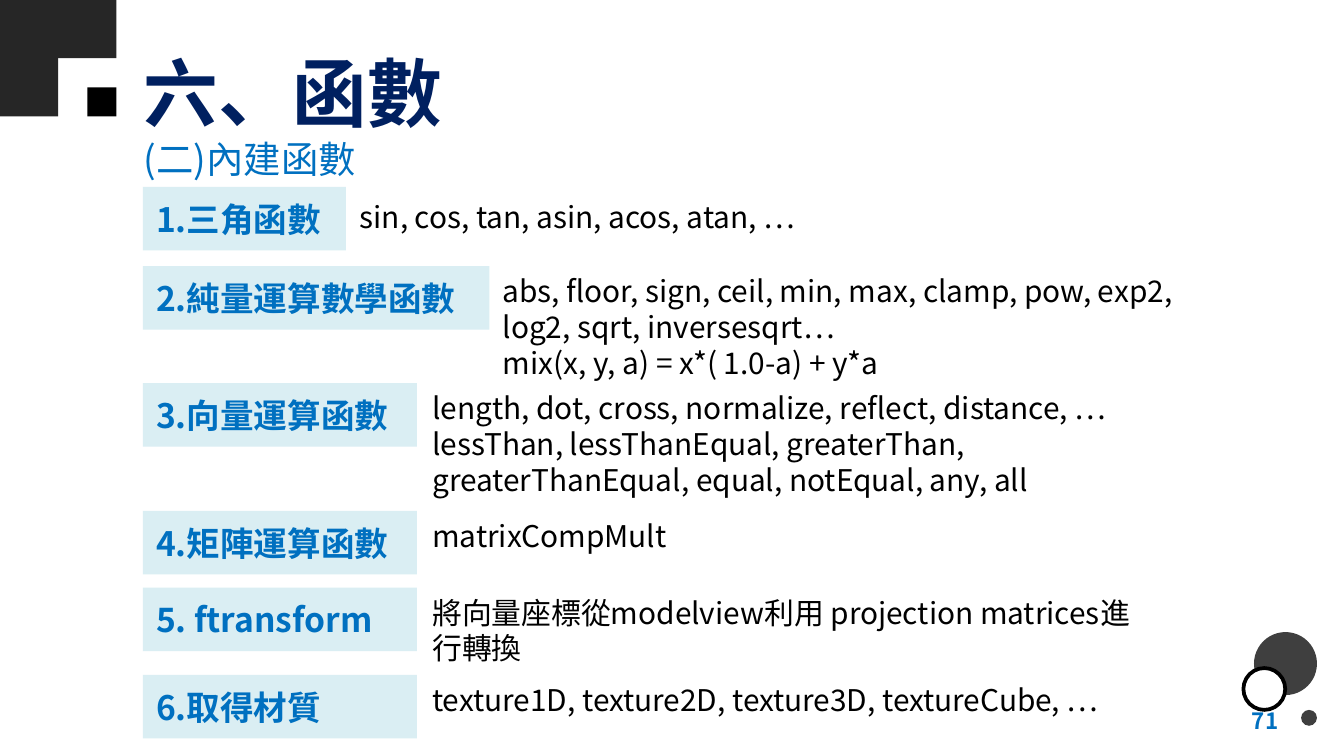
"""Build the slide on built-in shader functions."""
from dataclasses import dataclass

from lxml import etree
from pptx import Presentation
from pptx.dml.color import RGBColor
from pptx.enum.shapes import MSO_SHAPE
from pptx.enum.text import MSO_ANCHOR, PP_ALIGN
from pptx.oxml.ns import qn
from pptx.util import Cm, Pt

RECTANGLE, OVAL = MSO_SHAPE.RECTANGLE, MSO_SHAPE.OVAL
TOP, MIDDLE = MSO_ANCHOR.TOP, MSO_ANCHOR.MIDDLE
LEFT, RIGHT = PP_ALIGN.LEFT, PP_ALIGN.RIGHT

FONT = "Noto Sans CJK TC"
NAVY = RGBColor(0x00, 0x20, 0x60)
BLUE = RGBColor(0x00, 0x70, 0xC0)
PALE_BLUE = RGBColor(0xDA, 0xEE, 0xF3)
CHARCOAL = RGBColor(0x26, 0x26, 0x26)
GREY = RGBColor(0x3F, 0x3F, 0x3F)
BLACK = RGBColor(0x00, 0x00, 0x00)
WHITE = RGBColor(0xFF, 0xFF, 0xFF)

LABEL_LEFT, LABEL_HEIGHT = 2.7, 1.2
TILE = 1.1


@dataclass
class Category:
    label: str
    functions: list[str]
    top: float
    label_width: float = 5.18
    text_left: float = 7.92
    text_top: float | None = None


@dataclass
class Ornament:
    kind: int
    left: float
    top: float
    size: float
    fill: RGBColor
    outlined: bool = False


CATEGORIES = [
    Category("1.三角函數", ["sin, cos, tan, asin, acos, atan, …"], 3.53, 3.84, 6.55, 3.63),
    Category("2.純量運算數學函數",
             ["abs, floor, sign, ceil, min, max, clamp, pow, exp2, log2, sqrt, inversesqrt…",
              "mix(x, y, a) = x*( 1.0-a) + y*a"], 5.03, 6.55, 9.25),
    Category("3.向量運算函數",
             ["length, dot, cross, normalize, reflect, distance, …",
              "lessThan, lessThanEqual, greaterThan, greaterThanEqual, equal, notEqual, any, all"],
             7.24),
    Category("4.矩陣運算函數", ["matrixCompMult"], 9.65),
    Category("5. ftransform", ["將向量座標從modelview利用 projection matrices進行轉換"], 11.1),
    Category("6.取得材質", ["texture1D, texture2D, texture3D, textureCube, …"], 12.75),
]

ORNAMENTS = [
    Ornament(RECTANGLE, 0, 0, TILE, CHARCOAL),
    Ornament(RECTANGLE, TILE, 0, TILE, CHARCOAL),
    Ornament(RECTANGLE, 0, TILE, TILE, CHARCOAL),
    Ornament(RECTANGLE, 1.5 * TILE, 1.5 * TILE, TILE / 2, BLACK),
    Ornament(OVAL, 23.7, 11.94, 1.19, GREY),
    Ornament(OVAL, 24.59, 13.41, 0.3, GREY),
    Ornament(OVAL, 23.5, 12.62, 0.79, WHITE, outlined=True),
]


def write_text(shape, lines: list[str], size: float, color: RGBColor, bold: bool = False,
               anchor=TOP, alignment=LEFT) -> None:
    """Fill a shape with uniformly formatted paragraphs."""
    frame = shape.text_frame
    frame.word_wrap = True
    frame.vertical_anchor = anchor
    frame.text = "\n".join(lines)
    for paragraph in frame.paragraphs:
        paragraph.alignment = alignment
        font = paragraph.font
        font.name, font.size, font.bold = FONT, Pt(size), bold
        font.color.rgb = color
        properties = paragraph._p.pPr.find(qn("a:defRPr"))
        etree.SubElement(properties, qn("a:ea")).set("typeface", FONT)


def add_block(slide, kind: int, left: float, top: float, width: float, height: float,
              fill: RGBColor):
    """Add a flat filled shape without outline."""
    shape = slide.shapes.add_shape(kind, Cm(left), Cm(top), Cm(width), Cm(height))
    shape.shadow.inherit = False
    shape.fill.solid()
    shape.fill.fore_color.rgb = fill
    shape.line.fill.background()
    return shape


def add_text_box(slide, left: float, top: float, width: float, height: float):
    """Add an empty text box."""
    return slide.shapes.add_textbox(Cm(left), Cm(top), Cm(width), Cm(height))


def draw_ornament(slide, ornament: Ornament) -> None:
    """Draw one decorative square or circle."""
    shape = add_block(slide, ornament.kind, ornament.left, ornament.top,
                      ornament.size, ornament.size, ornament.fill)
    if ornament.outlined:
        shape.line.color.rgb = BLACK
        shape.line.width = Pt(2)


def draw_category(slide, category: Category) -> None:
    """Draw a category label with its functions beside it."""
    label = add_block(slide, RECTANGLE, LABEL_LEFT, category.top, category.label_width,
                      LABEL_HEIGHT, PALE_BLUE)
    write_text(label, [category.label], 18, BLUE, bold=True, anchor=MIDDLE)
    text_top = category.text_top or category.top
    text_width = 13.72
    box = add_text_box(slide, category.text_left, text_top, text_width, 0.94)
    write_text(box, category.functions, 16, BLACK)


def main() -> None:
    """Create and save the presentation."""
    presentation = Presentation()
    presentation.slide_width, presentation.slide_height = Cm(25.4), Cm(14.28)
    slide = presentation.slides.add_slide(presentation.slide_layouts[1])
    title, subtitle = slide.placeholders
    title.left, title.top, title.width, title.height = Cm(2.46), Cm(0.53), Cm(11.84), Cm(2.39)
    write_text(title, ["六、函數"], 40, NAVY, bold=True, anchor=MIDDLE)
    for ornament in ORNAMENTS:
        draw_ornament(slide, ornament)
    page_number = add_text_box(slide, 18.49, 13.23, 5.92, 0.76)
    write_text(page_number, ["71"], 12, BLUE, bold=True, anchor=MIDDLE, alignment=RIGHT)
    subtitle.left, subtitle.top, subtitle.width, subtitle.height = (
        Cm(2.46), Cm(2.44), Cm(11.4), Cm(1.12))
    write_text(subtitle, ["(二)內建函數"], 20, BLUE)
    paragraph = subtitle.text_frame.paragraphs[0]
    paragraph.space_before = Pt(0)
    properties = paragraph._p.pPr
    properties.set("marL", "0")
    properties.set("indent", "0")
    properties.insert_element_before(etree.Element(qn("a:buNone")), "a:defRPr")
    for category in CATEGORIES:
        draw_category(slide, category)
    presentation.save("out.pptx")


if __name__ == "__main__":
    main()
